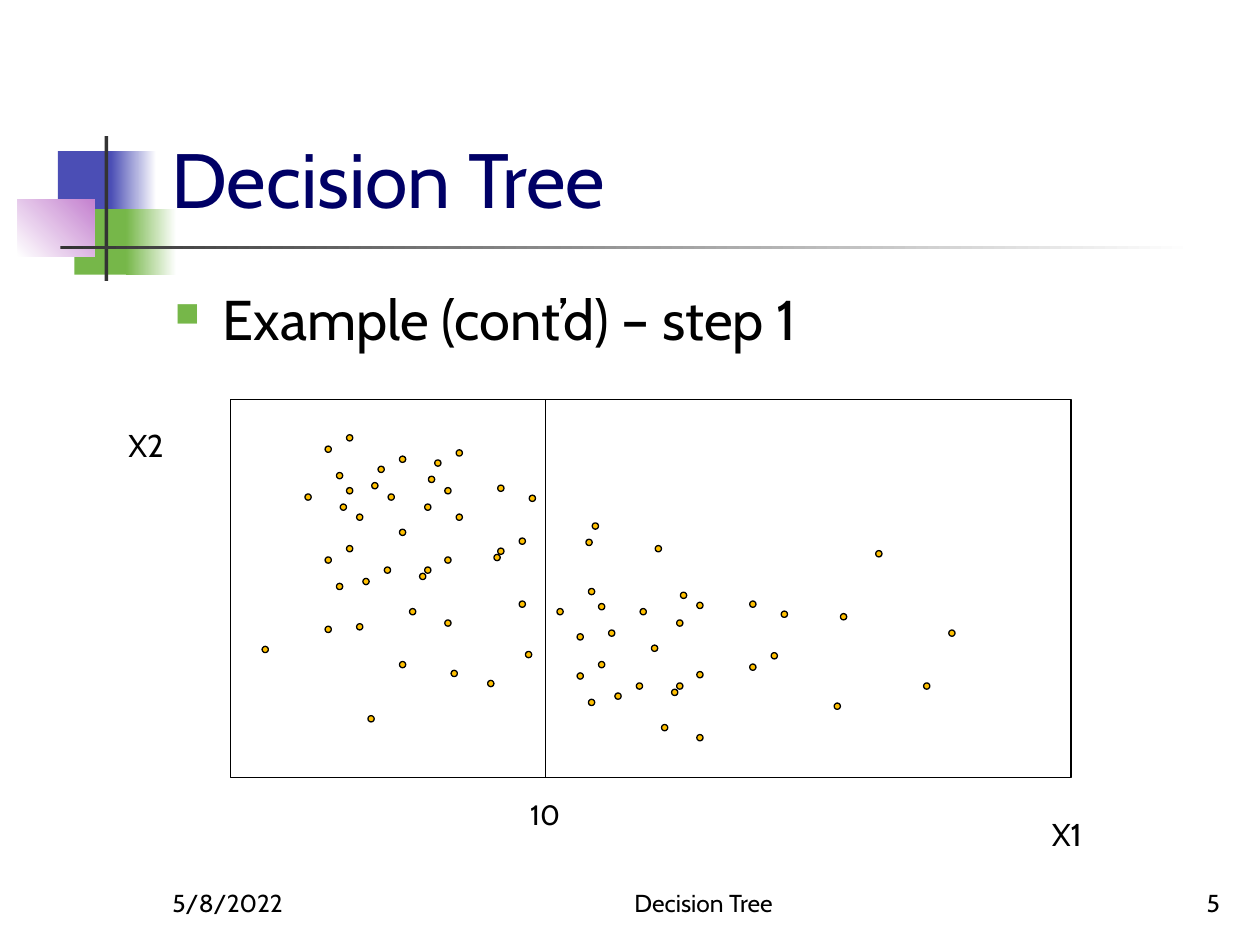
"""Build the decision tree slide showing the first split of a scatter plot."""
from dataclasses import dataclass, field
from typing import Any, NamedTuple

from lxml.etree import SubElement
from pptx import Presentation
from pptx.dml.color import RGBColor
from pptx.enum.shapes import MSO_CONNECTOR, MSO_SHAPE
from pptx.enum.text import MSO_ANCHOR, MSO_AUTO_SIZE, PP_ALIGN
from pptx.oxml.ns import qn
from pptx.util import Cm, Pt

FONT = "Cabin"
BLACK = RGBColor(0x00, 0x00, 0x00)
WHITE = RGBColor(0xFF, 0xFF, 0xFF)
NAVY = RGBColor(0x00, 0x00, 0x66)
BLUE = RGBColor(0x4B, 0x4E, 0xB5)
GREEN = RGBColor(0x76, 0xB7, 0x49)
PURPLE = RGBColor(0xC4, 0x81, 0xCF)
CHARCOAL = RGBColor(0x33, 0x33, 0x33)
AMBER = RGBColor(0xFF, 0xC0, 0x00)

GRID_CM = 2.54
DOT_SIZE = 0.05
OUTLINE = Pt(0.75)
BOTTOM = {"vertical_anchor": MSO_ANCHOR.BOTTOM}
FITTED = {"word_wrap": False, "auto_size": MSO_AUTO_SIZE.SHAPE_TO_FIT_TEXT}


class Box(NamedTuple):
    left: float
    top: float
    width: float
    height: float


class Ornament(NamedTuple):
    box: Box
    start: RGBColor
    end: RGBColor | None = None
    angle: int = 0


@dataclass(frozen=True)
class Caption:
    text: str
    box: Box
    size: float
    color: RGBColor = BLACK
    frame_format: dict[str, Any] = field(default_factory=dict)
    paragraph_format: dict[str, Any] = field(default_factory=dict)


ORNAMENTS = [
    Ornament(Box(0.46, 1.2, 0.48, 0.52), BLUE),
    Ornament(Box(0.88, 1.2, 0.36, 0.52), BLUE, WHITE),
    Ornament(Box(0.59, 1.66, 0.46, 0.52), GREEN),
    Ornament(Box(1, 1.66, 0.4, 0.52), GREEN, WHITE),
    Ornament(Box(0.14, 1.58, 0.61, 0.46), WHITE, PURPLE, 45),
    Ornament(Box(0.83, 1.08, 0.03, 1.15), CHARCOAL),
    Ornament(Box(0.48, 1.95, 9, 0.03), CHARCOAL, WHITE),
]
TITLE = Caption("Decision Tree", Box(1.26, 0.23, 8.52, 1.6), 44, NAVY, BOTTOM)
EXAMPLE = Caption("Example (cont’d) – step 1", Box(1.29, 2.21, 8.5, 4.5), 32,
                  paragraph_format={"space_before": Pt(6.4)})
FOOTERS = [
    Caption("5/8/2022", Box(1.27, 6.83, 2.08, 0.5), 14, BLACK, BOTTOM),
    Caption("Decision Tree", Box(4, 6.83, 3.17, 0.5), 14, BLACK, BOTTOM,
            {"alignment": PP_ALIGN.CENTER}),
    Caption("5", Box(7.7, 6.83, 2.08, 0.5), 14, BLACK, BOTTOM,
            {"alignment": PP_ALIGN.RIGHT}),
]
PLOT = Box(1.83, 3.17, 6.67, 3)
SPLIT_X = 4.33
AXIS_LABELS = [
    Caption("X1", Box(8.25, 6.42, 0.49, 0.4), 18, frame_format=FITTED),
    Caption("X2", Box(0.92, 3.33, 0.49, 0.4), 18, frame_format=FITTED),
    Caption("10", Box(4.11, 6.28, 0.45, 0.37), 16, frame_format=FITTED),
]
LEFT_OF_SPLIT = [
    (2.58, 3.54), (2.75, 3.45), (2.67, 3.75), (2.95, 3.83), (3, 3.7),
    (3.17, 3.62), (3.08, 3.92), (3.37, 4), (2.58, 4.42), (2.75, 4.33),
    (2.67, 4.63), (3.4, 3.78), (3.45, 3.65), (3.62, 3.57), (3.53, 3.87),
    (2.58, 4.97), (2.42, 3.92), (2.7, 4), (2.75, 3.87), (2.83, 4.08),
    (3.37, 4.5), (3.53, 4.42), (3.33, 4.55), (2.83, 4.95), (2.88, 4.59),
    (3.05, 4.5), (3.25, 4.83), (3.53, 4.92), (2.92, 5.68), (3.17, 5.25),
    (3.58, 5.32), (3.87, 5.4), (2.08, 5.13), (3.62, 4.08), (3.17, 4.2),
    (3.95, 3.85), (3.95, 4.35), (4.12, 4.27), (3.92, 4.4), (4.12, 4.77),
    (4.17, 5.17), (4.2, 3.93),
]
RIGHT_OF_SPLIT = [
    (4.65, 4.28), (4.7, 4.15), (6.67, 4.87), (6.95, 4.37), (4.67, 4.67),
    (5.2, 4.33), (5.08, 4.83), (5.37, 4.92), (4.58, 5.34), (4.75, 5.25),
    (4.67, 5.55), (5.4, 4.7), (5.53, 4.78), (4.42, 4.83), (4.58, 5.03),
    (4.75, 4.79), (4.83, 5), (5.37, 5.42), (5.53, 5.33), (5.33, 5.47),
    (4.88, 5.5), (5.05, 5.42), (5.25, 5.75), (5.53, 5.83), (7.53, 5),
    (5.17, 5.12), (5.95, 4.77), (5.95, 5.27), (6.12, 5.18), (6.62, 5.58),
    (7.33, 5.42), (6.2, 4.85),
]


def grid(units: float) -> Cm:
    """Convert grid units to a length."""
    return Cm(units * GRID_CM)


def set_all(target: Any, values: dict[str, Any]) -> None:
    """Set every named attribute on the target."""
    for name, value in values.items():
        setattr(target, name, value)


def add_preset(shapes: Any, kind: MSO_SHAPE, box: Box) -> Any:
    """Add a preset shape without shadow."""
    preset = shapes.add_shape(kind, *map(grid, box))
    preset.shadow.inherit = False
    return preset


def add_outlined(shapes: Any, kind: MSO_SHAPE, box: Box, color: RGBColor | None = None) -> None:
    """Add a black-outlined shape, hollow unless a colour is given."""
    outlined = add_preset(shapes, kind, box)
    if color is None:
        outlined.fill.background()
    else:
        outlined.fill.solid()
        outlined.fill.fore_color.rgb = color
    outlined.line.color.rgb = BLACK
    outlined.line.width = OUTLINE


def add_ornament(shapes: Any, ornament: Ornament) -> None:
    """Add a solid or fading bar of the title ornament."""
    bar = add_preset(shapes, MSO_SHAPE.RECTANGLE, ornament.box)
    bar.line.fill.background()
    if ornament.end is None:
        bar.fill.solid()
        bar.fill.fore_color.rgb = ornament.start
        return
    bar.fill.gradient()
    bar.fill.gradient_angle = ornament.angle
    for position, color in enumerate((ornament.start, ornament.end)):
        stop = bar.fill.gradient_stops[position]
        stop.color.rgb = color
        stop.position = position


def add_caption(shapes: Any, caption: Caption) -> Any:
    """Add a text box and return its paragraph."""
    frame = shapes.add_textbox(*map(grid, caption.box)).text_frame
    set_all(frame, {"word_wrap": True} | caption.frame_format)
    paragraph = frame.paragraphs[0]
    set_all(paragraph, caption.paragraph_format)
    run = paragraph.add_run()
    set_all(run, {"text": caption.text})
    set_all(run.font, {"name": FONT, "size": Pt(caption.size)})
    run.font.color.rgb = caption.color
    return paragraph


def add_bullet(paragraph: Any, indent: Cm) -> None:
    """Give the paragraph a small green square bullet."""
    properties = paragraph._p.get_or_add_pPr()
    properties.set("marL", str(indent))
    properties.set("indent", str(-indent))
    SubElement(SubElement(properties, qn("a:buClr")), qn("a:srgbClr"), val=str(GREEN))
    SubElement(properties, qn("a:buSzPct"), val="60000")
    SubElement(properties, qn("a:buChar"), char="■")


def add_split(shapes: Any) -> None:
    """Draw the vertical split through the plot."""
    split = shapes.add_connector(MSO_CONNECTOR.STRAIGHT, grid(SPLIT_X), grid(PLOT.top),
                                 grid(SPLIT_X), grid(PLOT.top + PLOT.height))
    split.line.color.rgb = BLACK
    split.line.width = OUTLINE
    SubElement(split._element.spPr, qn("a:effectLst"))


def main() -> None:
    """Build and save the slide."""
    presentation = Presentation()
    set_all(presentation, {"slide_width": grid(10), "slide_height": grid(7.5)})
    shapes = presentation.slides.add_slide(presentation.slide_layouts[6]).shapes
    for ornament in ORNAMENTS:
        add_ornament(shapes, ornament)
    add_caption(shapes, TITLE)
    add_bullet(add_caption(shapes, EXAMPLE), grid(0.38))
    for footer in FOOTERS:
        add_caption(shapes, footer)
    scatter = shapes.add_group_shape().shapes
    add_outlined(scatter, MSO_SHAPE.RECTANGLE, PLOT)
    add_split(scatter)
    for label in AXIS_LABELS:
        add_caption(scatter, label)
    for left, top in LEFT_OF_SPLIT + RIGHT_OF_SPLIT:
        add_outlined(scatter, MSO_SHAPE.OVAL, Box(left, top, DOT_SIZE, DOT_SIZE), AMBER)
    presentation.save("out.pptx")


if __name__ == "__main__":
    main()
